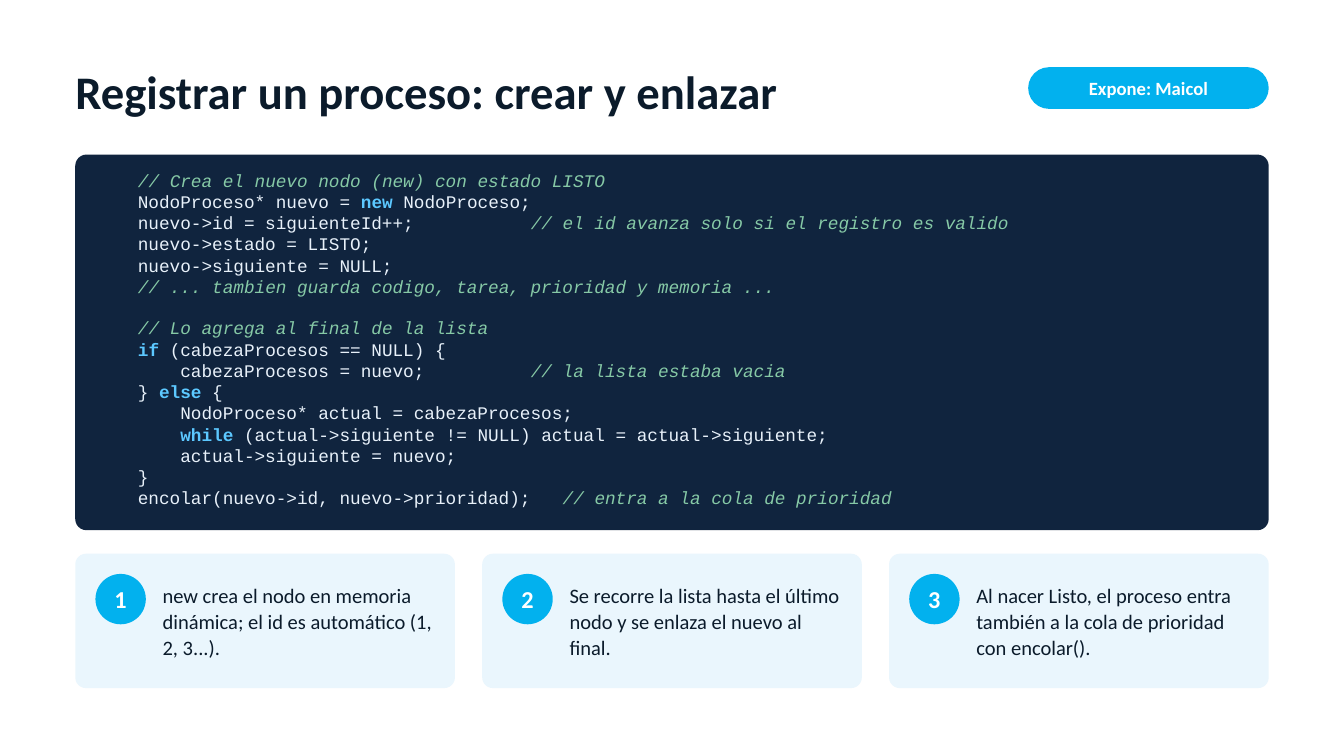
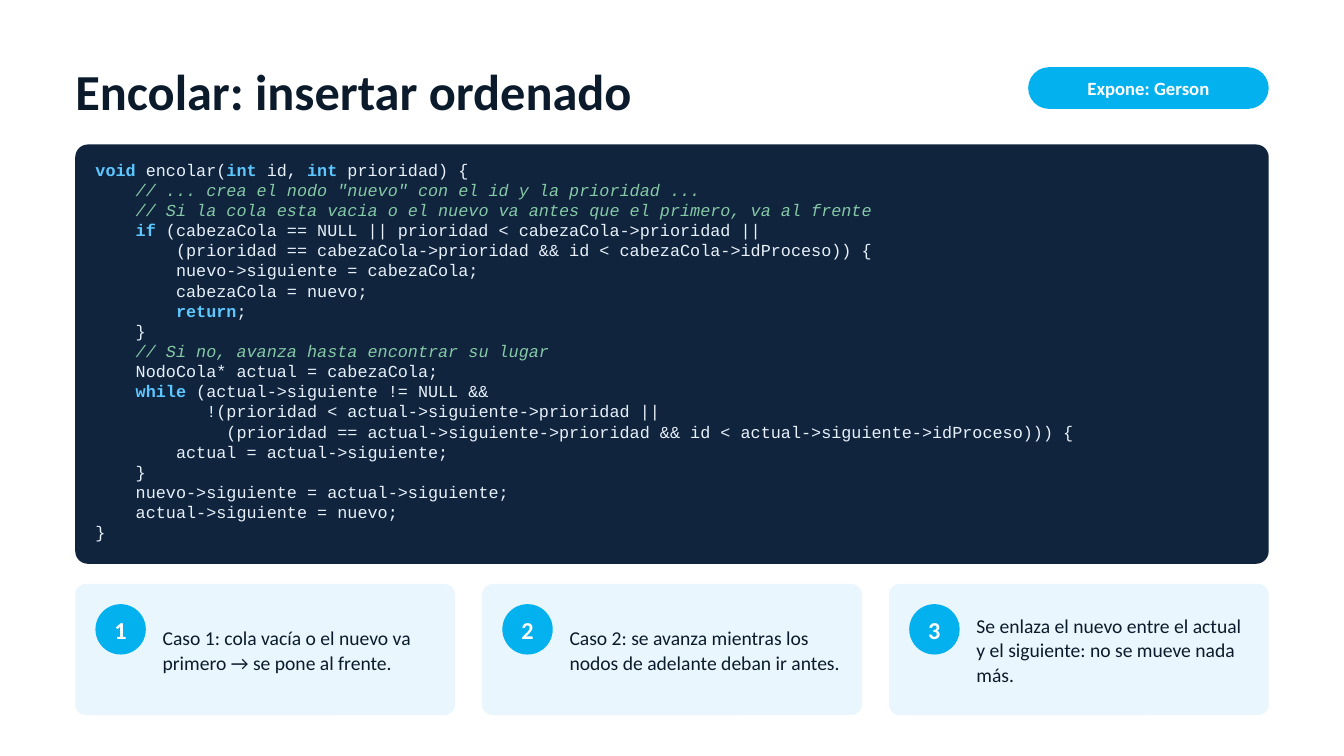
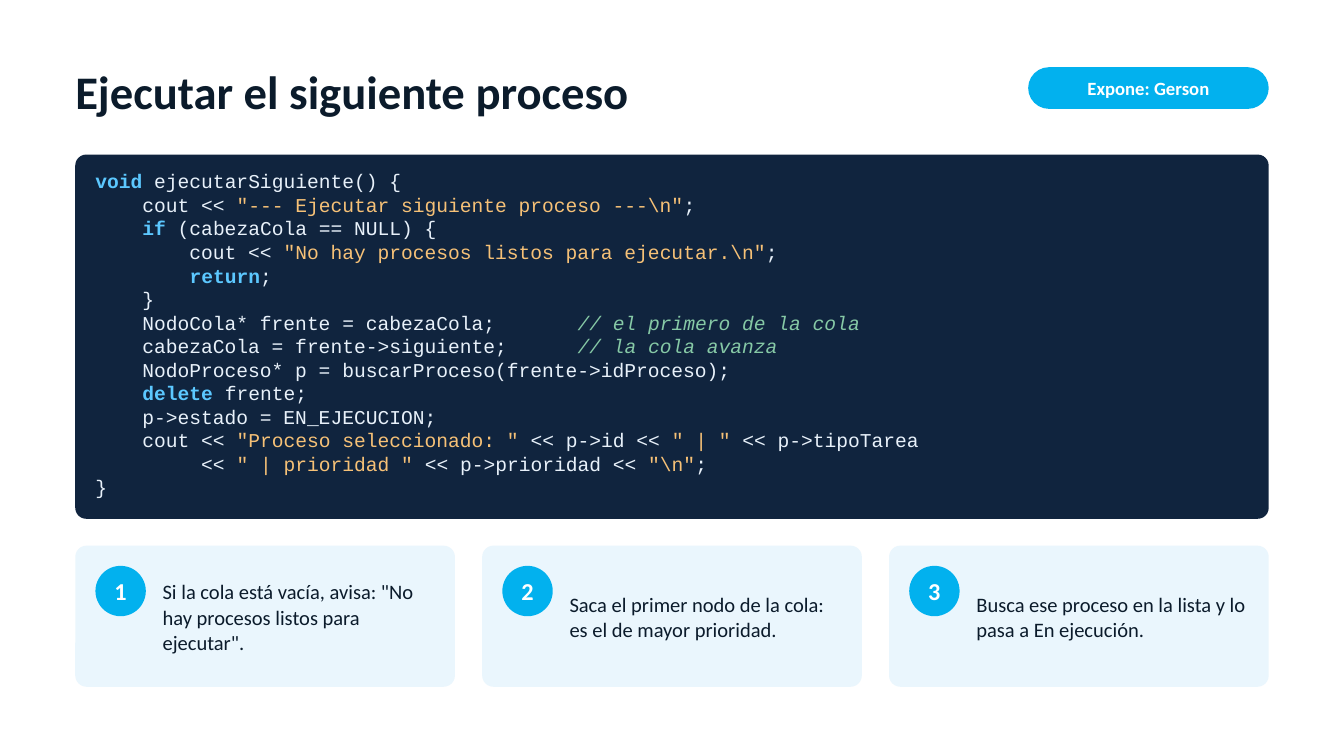
from itertools import groupby

from pptx import Presentation
from pptx.dml.color import RGBColor
from pptx.enum import shapes, text
from pptx.util import Inches, Pt

# Shared style
INK = RGBColor(0x0B, 0x1B, 0x2B)
WHITE = RGBColor(0xFF, 0xFF, 0xFF)
ACCENT = RGBColor(0x02, 0xB1, 0xEE)
PANEL = RGBColor(0x10, 0x24, 0x3E)
CARD = RGBColor(0xEA, 0xF6, 0xFD)
CODE = RGBColor(0xE8, 0xF1, 0xFA)
KEYWORD = RGBColor(0x5C, 0xC8, 0xFF)
COMMENT = RGBColor(0x86, 0xC9, 0xA6)
STRING = RGBColor(0xF6, 0xC1, 0x77)
SANS, MONO = "Calibri", "Courier New"
KEYWORDS = {"void", "int", "new", "if", "else", "while", "return", "delete"}

# Shared grid, in inches
LEFT, WIDTH = 1.12, 17.76
CARD_W = 5.65
CARD_STEP = (WIDTH - CARD_W) / 2
PAD = 0.3
MONO_LINE = 1.13  # line height of the code font, in ems

# Code listings, one line of code each
REGISTER_CODE = [
    "    // Crea el nuevo nodo (new) con estado LISTO",
    "    NodoProceso* nuevo = new NodoProceso;",
    "    nuevo->id = siguienteId++;           // el id avanza solo si el registro es valido",
    "    nuevo->estado = LISTO;",
    "    nuevo->siguiente = NULL;",
    "    // ... tambien guarda codigo, tarea, prioridad y memoria ...",
    "",
    "    // Lo agrega al final de la lista",
    "    if (cabezaProcesos == NULL) {",
    "        cabezaProcesos = nuevo;          // la lista estaba vacia",
    "    } else {",
    "        NodoProceso* actual = cabezaProcesos;",
    "        while (actual->siguiente != NULL) actual = actual->siguiente;",
    "        actual->siguiente = nuevo;",
    "    }",
    "    encolar(nuevo->id, nuevo->prioridad);   // entra a la cola de prioridad",
]

ENQUEUE_CODE = [
    "void encolar(int id, int prioridad) {",
    '    // ... crea el nodo "nuevo" con el id y la prioridad ...',
    "    // Si la cola esta vacia o el nuevo va antes que el primero, va al frente",
    "    if (cabezaCola == NULL || prioridad < cabezaCola->prioridad ||",
    "        (prioridad == cabezaCola->prioridad && id < cabezaCola->idProceso)) {",
    "        nuevo->siguiente = cabezaCola;",
    "        cabezaCola = nuevo;",
    "        return;",
    "    }",
    "    // Si no, avanza hasta encontrar su lugar",
    "    NodoCola* actual = cabezaCola;",
    "    while (actual->siguiente != NULL &&",
    "           !(prioridad < actual->siguiente->prioridad ||",
    "             (prioridad == actual->siguiente->prioridad"
    " && id < actual->siguiente->idProceso))) {",
    "        actual = actual->siguiente;",
    "    }",
    "    nuevo->siguiente = actual->siguiente;",
    "    actual->siguiente = nuevo;",
    "}",
]

RUN_CODE = [
    "void ejecutarSiguiente() {",
    r'    cout << "--- Ejecutar siguiente proceso ---\n";',
    "    if (cabezaCola == NULL) {",
    r'        cout << "No hay procesos listos para ejecutar.\n";',
    "        return;",
    "    }",
    "    NodoCola* frente = cabezaCola;       // el primero de la cola",
    "    cabezaCola = frente->siguiente;      // la cola avanza",
    "    NodoProceso* p = buscarProceso(frente->idProceso);",
    "    delete frente;",
    "    p->estado = EN_EJECUCION;",
    '    cout << "Proceso seleccionado: " << p->id << " | " << p->tipoTarea',
    r'         << " | prioridad " << p->prioridad << "\n";',
    "}",
]


# Text helpers
def add_run(p, content, size=22, font=SANS, color=INK, bold=False, italic=False):
    r = p.add_run()
    r.text = content
    r.font.size, r.font.name = Pt(size), font
    r.font.bold, r.font.italic = bold, italic
    r.font.color.rgb = color


def set_frame(sp, anchor=text.MSO_ANCHOR.MIDDLE, grow=True, inset=(0, 0)):
    tf = sp.text_frame
    tf.word_wrap = True
    tf.auto_size = (text.MSO_AUTO_SIZE.SHAPE_TO_FIT_TEXT if grow
                    else text.MSO_AUTO_SIZE.NONE)
    tf.vertical_anchor = anchor
    tf.margin_left = tf.margin_right = Inches(inset[0])
    tf.margin_top = tf.margin_bottom = Inches(inset[1])
    return tf


def add_text_box(s, x, y, w, h, **frame):
    sp = s.shapes.add_textbox(Inches(x), Inches(y), Inches(w), Inches(h))
    return set_frame(sp, **frame)


def add_filled(s, kind, x, y, w, h, fill, corner=None):
    sp = s.shapes.add_shape(kind, Inches(x), Inches(y), Inches(w), Inches(h))
    sp.shadow.inherit = False
    sp.fill.solid()
    sp.fill.fore_color.rgb = fill
    sp.line.fill.background()
    if corner is not None:
        sp.adjustments[0] = corner
    return sp


def add_label(sp, content, size):
    p = set_frame(sp, grow=False, inset=(0.1, 0.03)).paragraphs[0]
    p.alignment = text.PP_ALIGN.CENTER
    add_run(p, content, size=size, color=WHITE, bold=True)


# Code colouring
def split_words(code):
    words = ("".join(g) for _, g in groupby(code, lambda c: c.isalnum() or c == "_"))
    for is_keyword, group in groupby(words, lambda w: w in KEYWORDS):
        yield "".join(group), ({"color": KEYWORD, "bold": True} if is_keyword
                               else {"color": CODE})


def highlight(line):
    code, slashes, comment = line.partition("//")
    for i, piece in enumerate(code.split('"')):
        if i % 2:
            yield f'"{piece}"', {"color": STRING}
        else:
            yield from split_words(piece)
    if slashes:
        yield slashes + comment, {"color": COMMENT, "italic": True}


# Slide parts
def add_title(s, title, size):
    sp = s.shapes.title
    sp.left, sp.top = Inches(LEFT), Inches(0.7)
    sp.width, sp.height = Inches(14), Inches(1.3)
    p = set_frame(sp).paragraphs[0]
    p.alignment = text.PP_ALIGN.LEFT
    add_run(p, title, size=size, bold=True)


def add_speaker(s, name):
    pill = add_filled(s, shapes.MSO_SHAPE.ROUNDED_RECTANGLE,
                      15.3, 1, 3.58, 0.62, ACCENT, 0.5)
    add_label(pill, f"Expone: {name}", 20)


def add_code_panel(s, code, top, height, size):
    add_filled(s, shapes.MSO_SHAPE.ROUNDED_RECTANGLE,
               LEFT, top, WIDTH, height, PANEL, 0.03)
    tf = add_text_box(s, LEFT + PAD, top + 0.22, 17.31, height - 0.44,
                      anchor=text.MSO_ANCHOR.TOP)
    p, gap = tf.paragraphs[0], 0
    for i, line in enumerate(code):
        if not line:
            gap = size * MONO_LINE
            continue
        if i:
            p = tf.add_paragraph()
        if gap:
            p.space_before, gap = Pt(gap), 0
        for piece, style in highlight(line):
            add_run(p, piece, size=size, font=MONO, **style)


def add_cards(s, notes, top, height, size):
    for i, note in enumerate(notes):
        x = LEFT + i * CARD_STEP
        add_filled(s, shapes.MSO_SHAPE.ROUNDED_RECTANGLE,
                   x, top, CARD_W, height, CARD, 0.08)
        badge = add_filled(s, shapes.MSO_SHAPE.OVAL,
                           x + PAD, top + PAD, 0.75, 0.75, ACCENT)
        add_label(badge, str(i + 1), 26)
        p = add_text_box(s, x + 1.3, top + 0.2, 4.1, height - 0.4).paragraphs[0]
        p.line_spacing = 1.05
        add_run(p, note, size=size)


def add_code_slide(prs, title, speaker, code, panel, notes, cards, title_size=50):
    """panel and cards each hold top, height and text size."""
    s = prs.slides.add_slide(prs.slide_layouts[5])
    add_title(s, title, title_size)
    add_speaker(s, speaker)
    add_code_panel(s, code, *panel)
    add_cards(s, notes, *cards)


def main():
    prs = Presentation()
    prs.slide_width, prs.slide_height = Inches(20), Inches(11.25)

    add_code_slide(
        prs, "Registrar un proceso: crear y enlazar", "Maicol",
        REGISTER_CODE, (2.3, 5.59, 19),
        ["new crea el nodo en memoria dinámica; el id es automático (1, 2, 3...).",
         "Se recorre la lista hasta el último nodo y se enlaza el nuevo al final.",
         "Al nacer Listo, el proceso entra también a la cola de prioridad con encolar()."],
        (8.24, 2, 22))

    add_code_slide(
        prs, "Encolar: insertar ordenado", "Gerson",
        ENQUEUE_CODE, (2.15, 6.24, 18),
        ["Caso 1: cola vacía o el nuevo va primero → se pone al frente.",
         "Caso 2: se avanza mientras los nodos de adelante deban ir antes.",
         "Se enlaza el nuevo entre el actual y el siguiente: no se mueve nada más."],
        (8.69, 1.95, 21), title_size=54)

    add_code_slide(
        prs, "Ejecutar el siguiente proceso", "Gerson",
        RUN_CODE, (2.3, 5.42, 21),
        ['Si la cola está vacía, avisa: "No hay procesos listos para ejecutar".',
         "Saca el primer nodo de la cola: es el de mayor prioridad.",
         "Busca ese proceso en la lista y lo pasa a En ejecución."],
        (8.12, 2.1, 22))

    prs.save("out.pptx")


if __name__ == "__main__":
    main()
